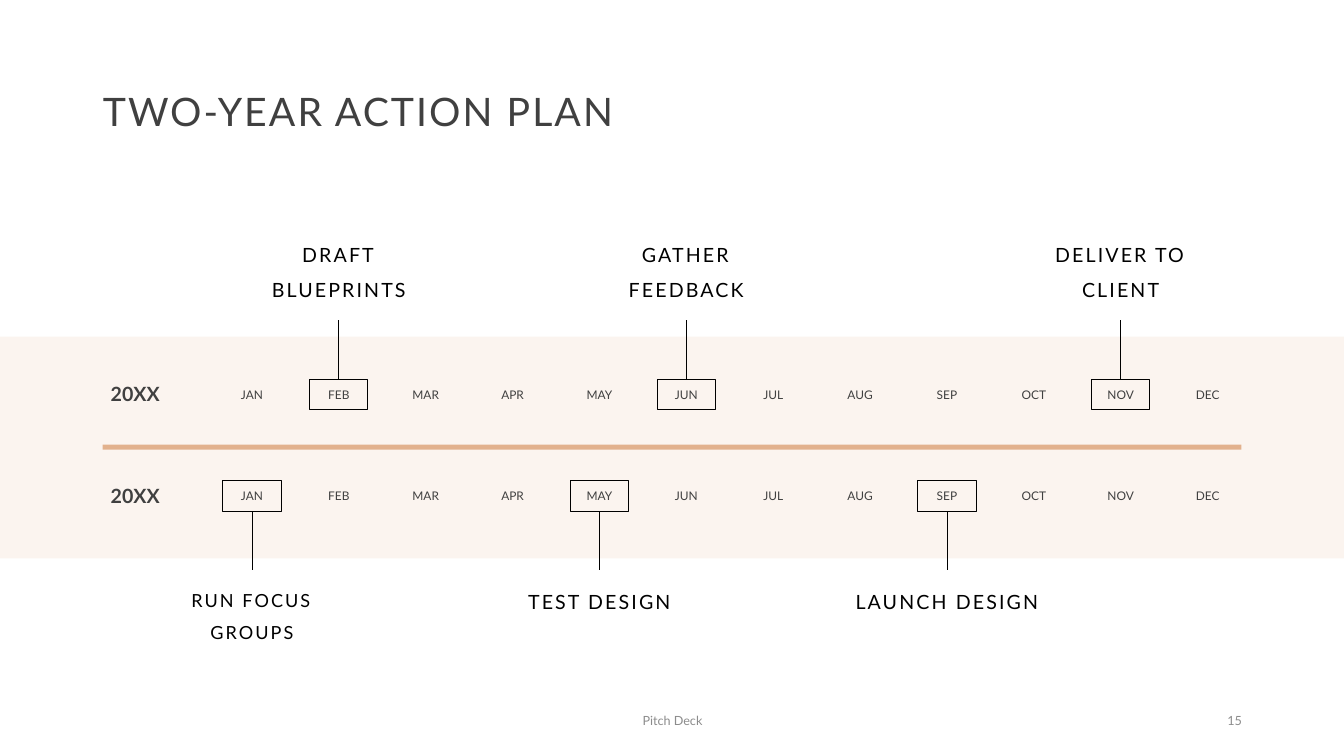
from lxml.etree import SubElement
from pptx import Presentation
from pptx.dml.color import RGBColor
from pptx.enum.shapes import MSO_CONNECTOR as Connector, MSO_SHAPE as Preset
from pptx.enum.text import MSO_ANCHOR as Anchor, PP_ALIGN as Align
from pptx.oxml.ns import qn
from pptx.util import Inches, Pt

COLORS = {
    "band": "FBF4EF",
    "rule": "E2B18D",
    "text": "404040",
    "ink": "000000",
    "muted": "8C8C8C",
}
COLUMNS, ROWS = 15.47, 15
JANUARY = 2.9
MONTHS = ["JAN", "FEB", "MAR", "APR", "MAY", "JUN",
          "JUL", "AUG", "SEP", "OCT", "NOV", "DEC"]
BOX_WIDTH, BOX_HEIGHT = 0.67, 0.6
MONTH_WIDTH, MONTH_HEIGHT = 0.81, 0.44
MILESTONE_WIDTH, MILESTONE_HEIGHT = 2.61, 1.22
LEADER = 1.17
TOP, BOTTOM = 0, 2
YEARS = [
    {"top": 7.52, "side": TOP, "milestones": [
        ("FEB", "DRAFT BLUEPRINTS", 14),
        ("JUN", "GATHER FEEDBACK", 14),
        ("NOV", "DELIVER TO CLIENT", 14)]},
    {"top": 9.54, "side": BOTTOM, "milestones": [
        ("JAN", "RUN FOCUS GROUPS", 12.9),
        ("MAY", "TEST DESIGN", 14),
        ("SEP", "LAUNCH DESIGN", 14)]},
]


class TimelineSlide:
    font = "Lato"
    line_width = Pt(0.5)

    def __init__(self, presentation):
        self.column = presentation.slide_width / COLUMNS
        self.row = presentation.slide_height / ROWS
        self.slide = presentation.slides.add_slide(presentation.slide_layouts[6])

    def x(self, columns):
        return round(columns * self.column)

    def y(self, rows):
        return round(rows * self.row)

    def place(self, left, top, width, height):
        return self.x(left), self.y(top), self.x(width), self.y(height)

    def color(self, name):
        return RGBColor.from_string(COLORS[name])

    def rectangle(self, left, top, width, height, fill=None, line=None):
        shape = self.slide.shapes.add_shape(
            Preset.RECTANGLE, *self.place(left, top, width, height))
        shape.shadow.inherit = False
        if fill:
            shape.fill.solid()
            shape.fill.fore_color.rgb = self.color(fill)
        else:
            shape.fill.background()
        if line:
            shape.line.color.rgb = self.color(line)
            shape.line.width = self.line_width
        else:
            shape.line.fill.background()
        return shape

    def text(self, words, left, top, width, height, size, color="text",
             align=Align.LEFT, anchor=Anchor.MIDDLE, bold=False,
             line_spacing=1.0, space_before=0, tracking=0):
        box = self.slide.shapes.add_textbox(*self.place(left, top, width, height))
        frame = box.text_frame
        frame.word_wrap = True
        frame.vertical_anchor = anchor
        paragraph = frame.paragraphs[0]
        paragraph.alignment = align
        paragraph.line_spacing = line_spacing
        paragraph.space_before = Pt(space_before)
        run = paragraph.add_run()
        run.text = words
        run.font.name = self.font
        run.font.size = Pt(size)
        run.font.bold = bold
        run.font.color.rgb = self.color(color)
        if tracking:
            run._r.get_or_add_rPr().set("spc", str(round(tracking * 100)))

    def leader(self, box, side, center, end):
        x, y = self.x(center), self.y(end)
        connector = self.slide.shapes.add_connector(Connector.STRAIGHT, x, y, x, y)
        connector.begin_connect(box, side)
        connector.line.color.rgb = self.color("ink")
        connector.line.width = self.line_width
        SubElement(connector._element.spPr, qn("a:effectLst"))

    def milestone(self, month, words, size, top, side):
        center = JANUARY + MONTHS.index(month)
        box = self.rectangle(center - BOX_WIDTH / 2, top, BOX_WIDTH, BOX_HEIGHT,
                             line="ink")
        if side == TOP:
            end = top - LEADER
            text_top, anchor = end - 0.27 - MILESTONE_HEIGHT, Anchor.BOTTOM
        else:
            end = top + BOX_HEIGHT + LEADER
            text_top, anchor = end + 0.07, Anchor.TOP
        self.leader(box, side, center, end)
        self.text(words, center - MILESTONE_WIDTH / 2, text_top,
                  MILESTONE_WIDTH, MILESTONE_HEIGHT, size, "ink", Align.CENTER,
                  anchor, line_spacing=1.5, space_before=10, tracking=1.5)

    def year(self, top, side, milestones):
        self.text("20XX", 1.16, top - 0.17, 0.93, 1, 14, bold=True,
                  line_spacing=0.9, space_before=10)
        for index, month in enumerate(MONTHS):
            self.text(month, JANUARY + index - MONTH_WIDTH / 2, top + 0.14,
                      MONTH_WIDTH, MONTH_HEIGHT, 8.5, align=Align.CENTER,
                      anchor=Anchor.TOP, line_spacing=0.7, space_before=10)
        for month, words, size in milestones:
            self.milestone(month, words, size, top, side)


def main():
    presentation = Presentation()
    presentation.slide_width = Inches(13.33)
    presentation.slide_height = Inches(7.5)
    timeline = TimelineSlide(presentation)
    timeline.rectangle(0, 6.68, COLUMNS, 4.4, fill="band")
    timeline.rectangle(1.18, 8.82, 13.11, 0.1, fill="rule")
    timeline.text("TWO-YEAR ACTION PLAN", 1.07, 0.8, 13.34, 2.9, 28,
                  line_spacing=0.9, tracking=1.5)
    for year in YEARS:
        timeline.year(**year)
    timeline.text("Pitch Deck", 5.13, 13.9, 5.22, 0.8, 9, "muted", Align.CENTER)
    timeline.text("15", 10.93, 13.9, 3.48, 0.8, 9, "muted", Align.RIGHT)
    presentation.save("out.pptx")


if __name__ == "__main__":
    main()
